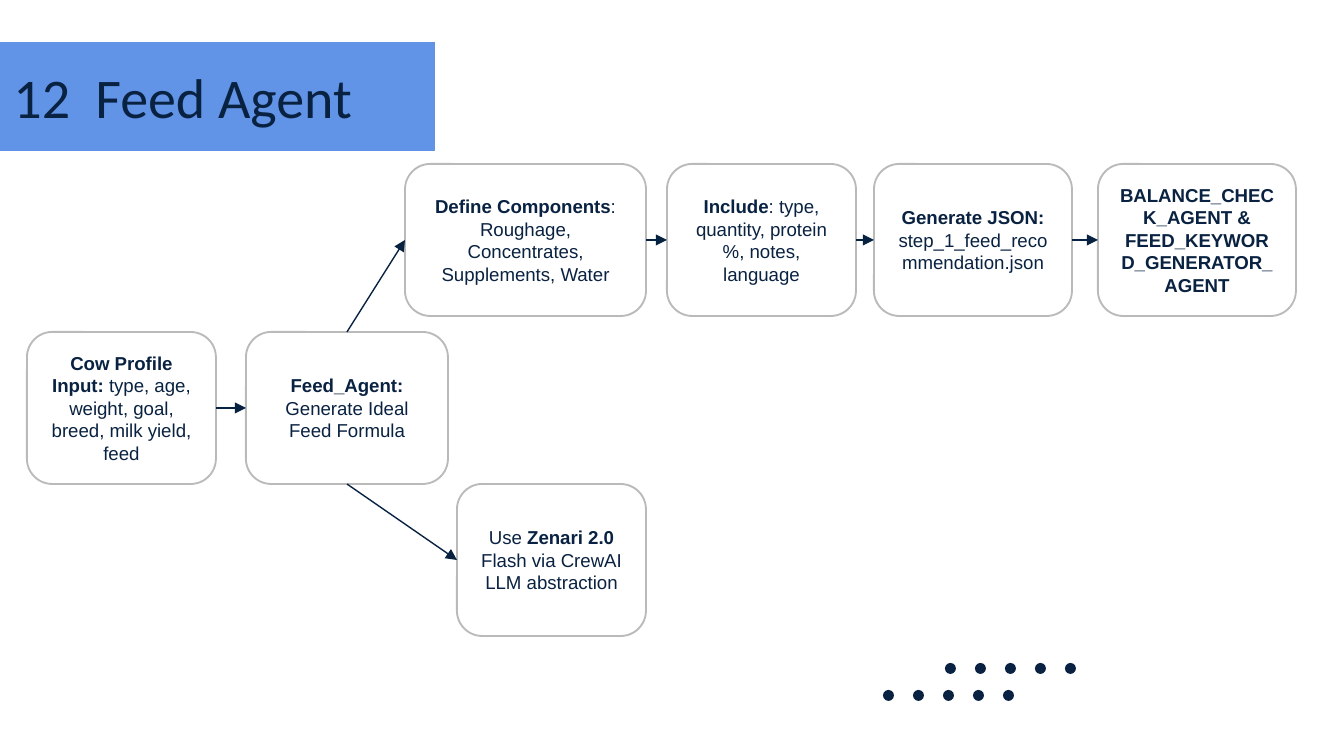
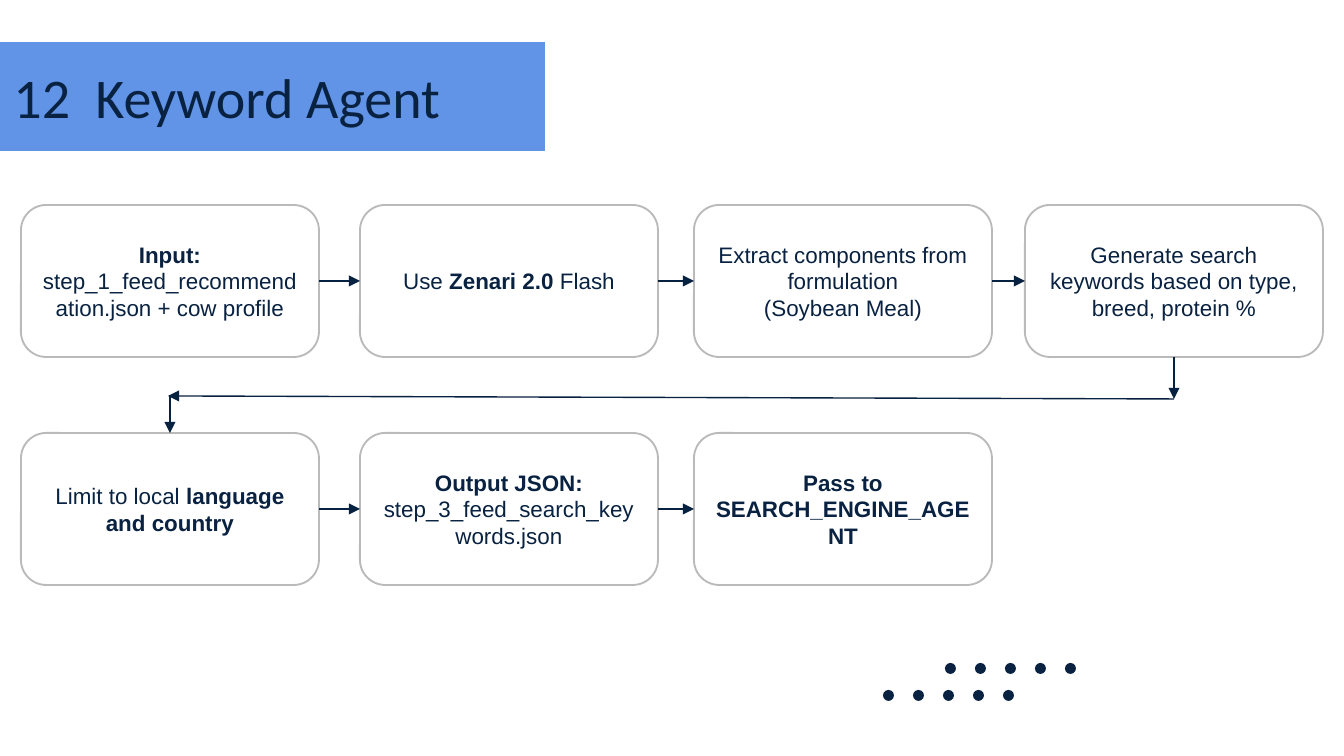
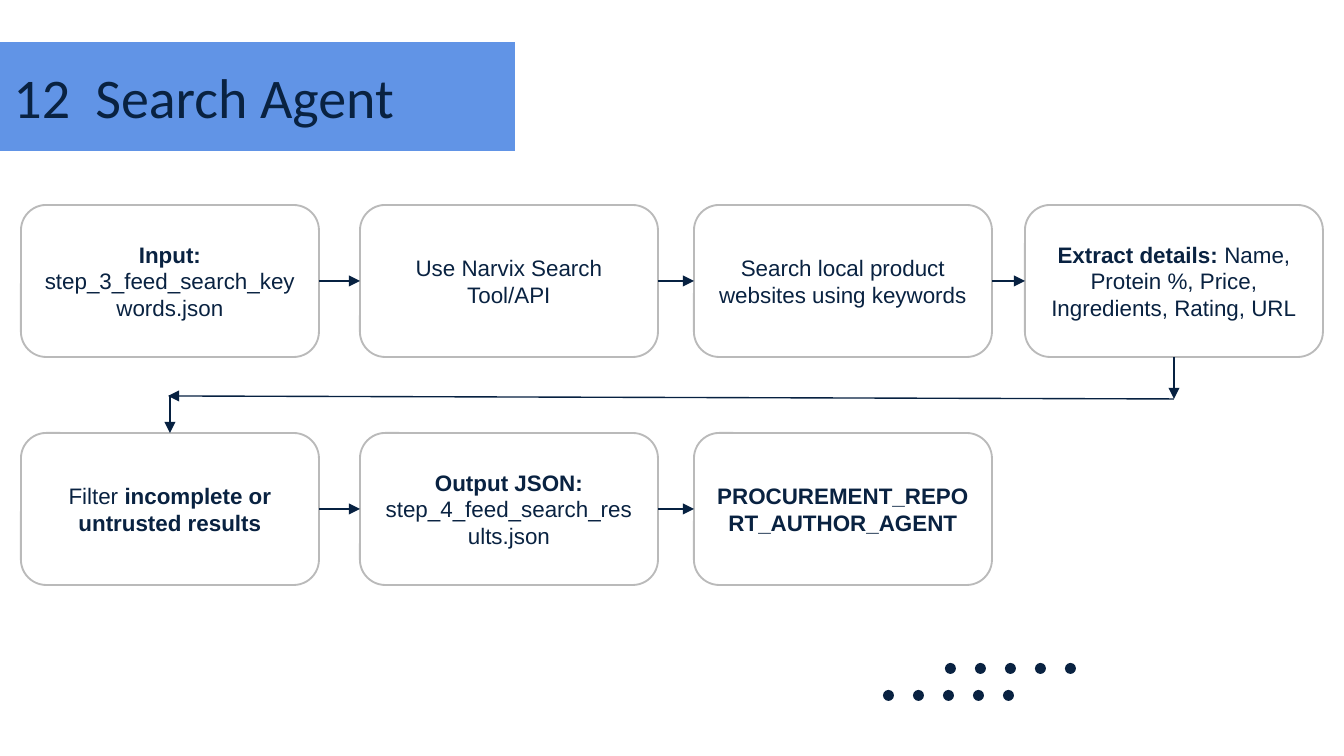
import lxml.etree
import pptx
import pptx.dml.color
import pptx.enum.shapes
import pptx.enum.text
import pptx.oxml.ns
import pptx.util

# Content: **...** marks bold words, each string in a list is one paragraph
FEED_BOXES = {
    "profile": (27, 332, 189, ["**Cow Profile Input: **type, age, weight, goal, breed, milk yield, feed"]),
    "agent": (246, 332, 202, ["**Feed_Agent:**", "Generate Ideal Feed Formula"]),
    "components": (405, 164, 241, ["**Define Components**: Roughage, Concentrates, Supplements, Water"]),
    "include": (667, 164, 189, ["**Include**: type, quantity, protein %, notes, language"]),
    "json": (874, 164, 198, ["**Generate JSON:** step_1_feed_recommendation.json"]),
    "next": (1098, 164, 198, ["**BALANCE_CHECK_AGENT & FEED_KEYWORD_GENERATOR_AGENT**"]),
    "model": (457, 484, 189, ["Use **Zenari 2.0 **Flash via CrewAI LLM abstraction"]),
}
FEED_ARROWS = [
    ("profile", "right", "agent", "left"),
    ("agent", "top", "components", "left"),
    ("agent", "bottom", "model", "left"),
    ("components", "right", "include", "left"),
    ("include", "right", "json", "left"),
    ("json", "right", "next", "left"),
]
GRID_SLIDES = [
    ("12  Keyword Agent", 545, [
        [
            ["**Input: **step_1_feed_recommendation.json + cow profile"],
            ["Use **Zenari 2.0 **Flash"],
            ["Extract components from formulation", "(Soybean Meal)"],
            ["Generate search keywords based on type, breed, protein %"],
        ],
        [
            ["Limit to local **language and country**"],
            ["**Output JSON: **step_3_feed_search_keywords.json"],
            ["**Pass to SEARCH_ENGINE_AGENT**"],
        ],
    ]),
    ("12  Search Agent", 515, [
        [
            ["**Input: **step_3_feed_search_keywords.json"],
            ["Use Narvix Search Tool/API"],
            ["Search local product websites using keywords"],
            ["**Extract details: **Name, Protein %, Price, Ingredients, Rating, URL"],
        ],
        [
            ["Filter **incomplete or untrusted results**"],
            ["**Output JSON: **step_4_feed_search_results.json"],
            ["**PROCUREMENT_REPORT_AUTHOR_AGENT**"],
        ],
    ]),
]

# Shared look
COLORS = {"ink": "092241", "arrow": "072141", "band": "6194E6", "border": "BABABA", "paper": "FFFFFF"}
PX = 914400 / 134.4
BOX_HEIGHT = 152
GRID_LEFTS, GRID_TOPS, GRID_WIDTH = (21, 360, 694, 1025), (205, 433), 298
TURN = [((1174, 357), (1174, 399)), ((1174, 399), (168, 396)), ((170, 395), (170, 433))]
DOT_ROWS, DOT_STEP, DOT_SIZE = [(945, 663), (883, 690)], 30, 11
SITES = {"top": 0, "left": 1, "bottom": 2, "right": 3}
SHAPES = pptx.enum.shapes.MSO_SHAPE
FRAME_FORMAT = {
    "word_wrap": True,
    "auto_size": pptx.enum.text.MSO_AUTO_SIZE.NONE,
    "vertical_anchor": pptx.enum.text.MSO_ANCHOR.MIDDLE,
}


def emu(*lengths):
    return [round(length * PX) for length in lengths]


def rgb(name):
    return pptx.dml.color.RGBColor.from_string(COLORS[name])


def set_format(target, values):
    for name, value in values.items():
        setattr(target, name, value)


def paint(shape, fill):
    shape.fill.solid()
    shape.fill.fore_color.rgb = rgb(fill)


def write(frame, paragraphs, align, font, size):
    set_format(frame, FRAME_FORMAT)
    for index, text in enumerate(paragraphs):
        para = frame.add_paragraph() if index else frame.paragraphs[0]
        para.alignment = align
        for position, words in enumerate(text.split("**")):
            if words:
                span = para.add_run()
                span.text = words
                set_format(span.font, {"name": font, "size": pptx.util.Pt(size), "bold": position % 2 == 1})
                span.font.color.rgb = rgb("ink")


def add_page(deck, title, width):
    page = deck.slides.add_slide(deck.slide_layouts[5])
    band = page.shapes.title
    set_format(band, dict(zip(("left", "top", "width", "height"), emu(0, 42, width, 109))))
    paint(band, "band")
    write(band.text_frame, [title], pptx.enum.text.PP_ALIGN.LEFT, "Calibri", 30)
    return page


def add_box(page, left, top, width, paragraphs, size):
    box = page.shapes.add_shape(SHAPES.ROUNDED_RECTANGLE, *emu(left, top, width, BOX_HEIGHT))
    box.shadow.inherit = False
    paint(box, "paper")
    box.line.color.rgb = rgb("border")
    box.line.width = pptx.util.Pt(1)
    write(box.text_frame, paragraphs, pptx.enum.text.PP_ALIGN.CENTER, "Arial", size)
    return box


def add_arrow(page, start=(0, 0), end=(0, 0)):
    arrow = page.shapes.add_connector(pptx.enum.shapes.MSO_CONNECTOR.STRAIGHT, *emu(*start, *end))
    arrow.line.color.rgb = rgb("arrow")
    arrow.line.width = pptx.util.Pt(0.75)
    qn = pptx.oxml.ns.qn
    properties = arrow.element.spPr
    lxml.etree.SubElement(properties.find(qn("a:ln")), qn("a:tailEnd"), type="triangle")
    lxml.etree.SubElement(properties, qn("a:effectLst"))
    return arrow


def join(page, source, source_side, target, target_side):
    arrow = add_arrow(page)
    arrow.begin_connect(source, SITES[source_side])
    arrow.end_connect(target, SITES[target_side])


def move_dots_to_layout(page):
    group = page.shapes.add_group_shape()
    for left, top in DOT_ROWS:
        for column in range(5):
            dot = group.shapes.add_shape(
                SHAPES.OVAL, *emu(left + column * DOT_STEP, top, DOT_SIZE, DOT_SIZE))
            dot.shadow.inherit = False
            paint(dot, "ink")
            dot.line.fill.background()
    for number, label in enumerate(group.element.iter(pptx.oxml.ns.qn("p:cNvPr")), 100):
        label.set("id", str(number))
    page.slide_layout.shapes.element.append(group.element)


def build_feed_page(deck):
    page = add_page(deck, "12  Feed Agent", 435)
    move_dots_to_layout(page)
    boxes = {name: add_box(page, *place, 10) for name, place in FEED_BOXES.items()}
    for source, source_side, target, target_side in FEED_ARROWS:
        join(page, boxes[source], source_side, boxes[target], target_side)


def build_grid_page(deck, title, band_width, rows):
    page = add_page(deck, title, band_width)
    for top, texts in zip(GRID_TOPS, rows):
        boxes = [add_box(page, left, top, GRID_WIDTH, text, 12) for left, text in zip(GRID_LEFTS, texts)]
        for source, target in zip(boxes, boxes[1:]):
            join(page, source, "right", target, "left")
    # Turn from the end of the first row to the start of the second
    for start, end in TURN:
        add_arrow(page, start, end)


def main():
    deck = pptx.Presentation()
    deck.slide_width, deck.slide_height = emu(1344, 756)
    build_feed_page(deck)
    for title, band_width, rows in GRID_SLIDES:
        build_grid_page(deck, title, band_width, rows)
    deck.save("out.pptx")


if __name__ == "__main__":
    main()
